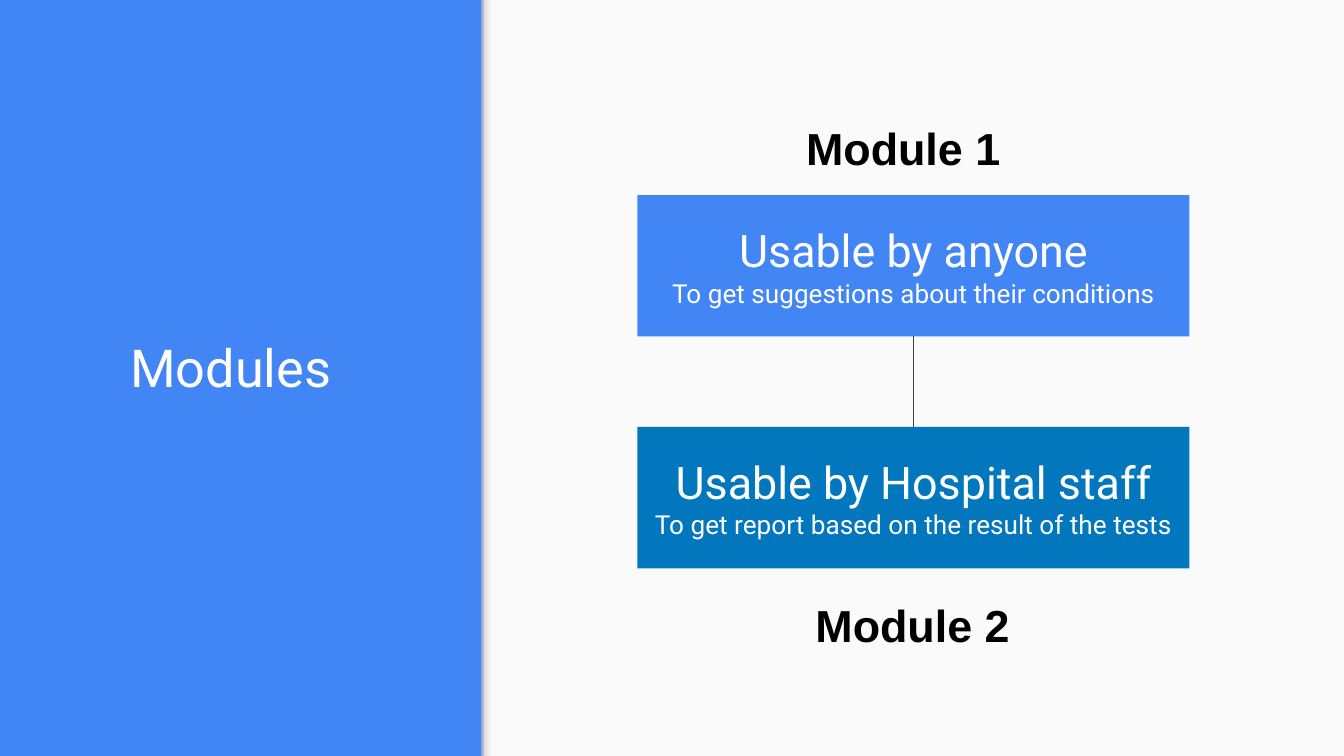
from dataclasses import dataclass

from lxml.etree import SubElement
from pptx import Presentation
from pptx.dml.color import RGBColor
from pptx.enum.shapes import MSO_CONNECTOR, MSO_SHAPE
from pptx.enum.text import MSO_ANCHOR, MSO_AUTO_SIZE, PP_ALIGN
from pptx.oxml.ns import qn
from pptx.shapes.autoshape import Shape
from pptx.slide import Slide
from pptx.util import Pt


@dataclass(frozen=True)
class Theme:
    blue: str = "4285F4"
    deep_blue: str = "0277BD"
    paper: str = "FAFAFA"
    white: str = "FFFFFF"
    black: str = "000000"
    connector: str = "424242"
    edge_stops: tuple = ((0, "999999"), (20, "DEDEDE"), (64, "F9F9F9"), (100, "F9F9F9"))
    body_font: str = "Roboto"
    label_font: str = "Arial"
    title_size: float = 28
    heading_size: float = 24
    detail_size: float = 14


@dataclass(frozen=True)
class Line:
    text: str
    size: float
    font: str
    color: str
    bold: bool = False


@dataclass(frozen=True)
class Module:
    label: str
    label_left: float
    label_top: float
    box_top: float
    fill: str
    heading: str
    detail: str


THEME = Theme()
SLIDE_W, SLIDE_H = 720, 405
PANEL_LEFT, EDGE_W = 258, 8.5
BOX_LEFT, BOX_W, BOX_H = 341.5, 295.75, 75.75
LABEL_W, LABEL_H = 321, 39
INSET = 7.2

MODULES = (
    Module("Module 1", 424.8, 57.6, 104.5, THEME.blue,
           "Usable by anyone", "To get suggestions about their conditions"),
    Module("Module 2", 429.8, 313.2, 228.75, THEME.deep_blue,
           "Usable by Hospital staff", "To get report based on the result of the tests"),
)


def write(shape: Shape, lines: list[Line], anchor: MSO_ANCHOR, align: PP_ALIGN) -> None:
    frame = shape.text_frame
    frame_format = {"word_wrap": True, "auto_size": MSO_AUTO_SIZE.NONE, "vertical_anchor": anchor}
    frame_format |= {f"margin_{side}": Pt(INSET) for side in ("left", "right", "top", "bottom")}
    for name, value in frame_format.items():
        setattr(frame, name, value)
    for index, line in enumerate(lines):
        paragraph = frame.paragraphs[0] if index == 0 else frame.add_paragraph()
        paragraph.alignment = align
        run = paragraph.add_run()
        run.text = line.text
        font_format = {"name": line.font, "size": Pt(line.size), "bold": line.bold}
        for name, value in font_format.items():
            setattr(run.font, name, value)
        run.font.color.rgb = RGBColor.from_string(line.color)


def add_block(slide: Slide, left: float, top: float, width: float, height: float, fill: str) -> Shape:
    block = slide.shapes.add_shape(MSO_SHAPE.RECTANGLE, Pt(left), Pt(top), Pt(width), Pt(height))
    block.shadow.inherit = False
    block.fill.solid()
    block.fill.fore_color.rgb = RGBColor.from_string(fill)
    block.line.fill.background()
    return block


def add_panel(slide: Slide) -> None:
    add_block(slide, PANEL_LEFT, 0, SLIDE_W - PANEL_LEFT, SLIDE_H, THEME.paper)
    # Soft shade along the panel's left edge
    edge = add_block(slide, PANEL_LEFT, 0, EDGE_W, SLIDE_H, THEME.paper)
    edge.fill.gradient()
    edge.fill.gradient_angle = 0
    stops = edge.fill.gradient_stops[0]._gs.getparent()
    for stop in list(stops):
        stops.remove(stop)
    for position, color in THEME.edge_stops:
        stop = SubElement(stops, qn("a:gs"), pos=str(position * 1000))
        SubElement(stop, qn("a:srgbClr"), val=color)


def add_title(slide: Slide, text: str) -> None:
    title = slide.shapes.title
    place = {"left": 62.6, "top": 145.4, "width": 221, "height": 75}
    for name, value in place.items():
        setattr(title, name, Pt(value))
    write(title, [Line(text, THEME.title_size, THEME.body_font, THEME.white)],
          MSO_ANCHOR.BOTTOM, PP_ALIGN.LEFT)


def add_module_box(slide: Slide, module: Module) -> Shape:
    box = add_block(slide, BOX_LEFT, module.box_top, BOX_W, BOX_H, module.fill)
    write(box, [Line(module.heading, THEME.heading_size, THEME.body_font, THEME.white),
                Line(module.detail, THEME.detail_size, THEME.body_font, THEME.white)],
          MSO_ANCHOR.MIDDLE, PP_ALIGN.CENTER)
    return box


def add_module_label(slide: Slide, module: Module) -> None:
    label = slide.shapes.add_textbox(Pt(module.label_left), Pt(module.label_top),
                                     Pt(LABEL_W), Pt(LABEL_H))
    write(label, [Line(module.label, THEME.heading_size, THEME.label_font, THEME.black, True)],
          MSO_ANCHOR.TOP, PP_ALIGN.LEFT)


def join(slide: Slide, upper: Shape, lower: Shape) -> None:
    link = slide.shapes.add_connector(MSO_CONNECTOR.STRAIGHT, 0, 0, 0, 0)
    link.begin_connect(upper, 2)
    link.end_connect(lower, 0)
    link.line.color.rgb = RGBColor.from_string(THEME.connector)
    link.line.width = Pt(0.75)
    SubElement(link._element.spPr, qn("a:effectLst"))


def main() -> None:
    deck = Presentation()
    deck.slide_width, deck.slide_height = Pt(SLIDE_W), Pt(SLIDE_H)
    slide = deck.slides.add_slide(deck.slide_layouts[5])

    # Blue background with the light panel on the right
    slide.background.fill.solid()
    slide.background.fill.fore_color.rgb = RGBColor.from_string(THEME.blue)
    add_panel(slide)
    add_title(slide, "Modules")

    # The two modules, their link and their labels
    upper, lower = [add_module_box(slide, module) for module in MODULES]
    join(slide, upper, lower)
    for module in MODULES:
        add_module_label(slide, module)

    deck.save("out.pptx")


if __name__ == "__main__":
    main()
